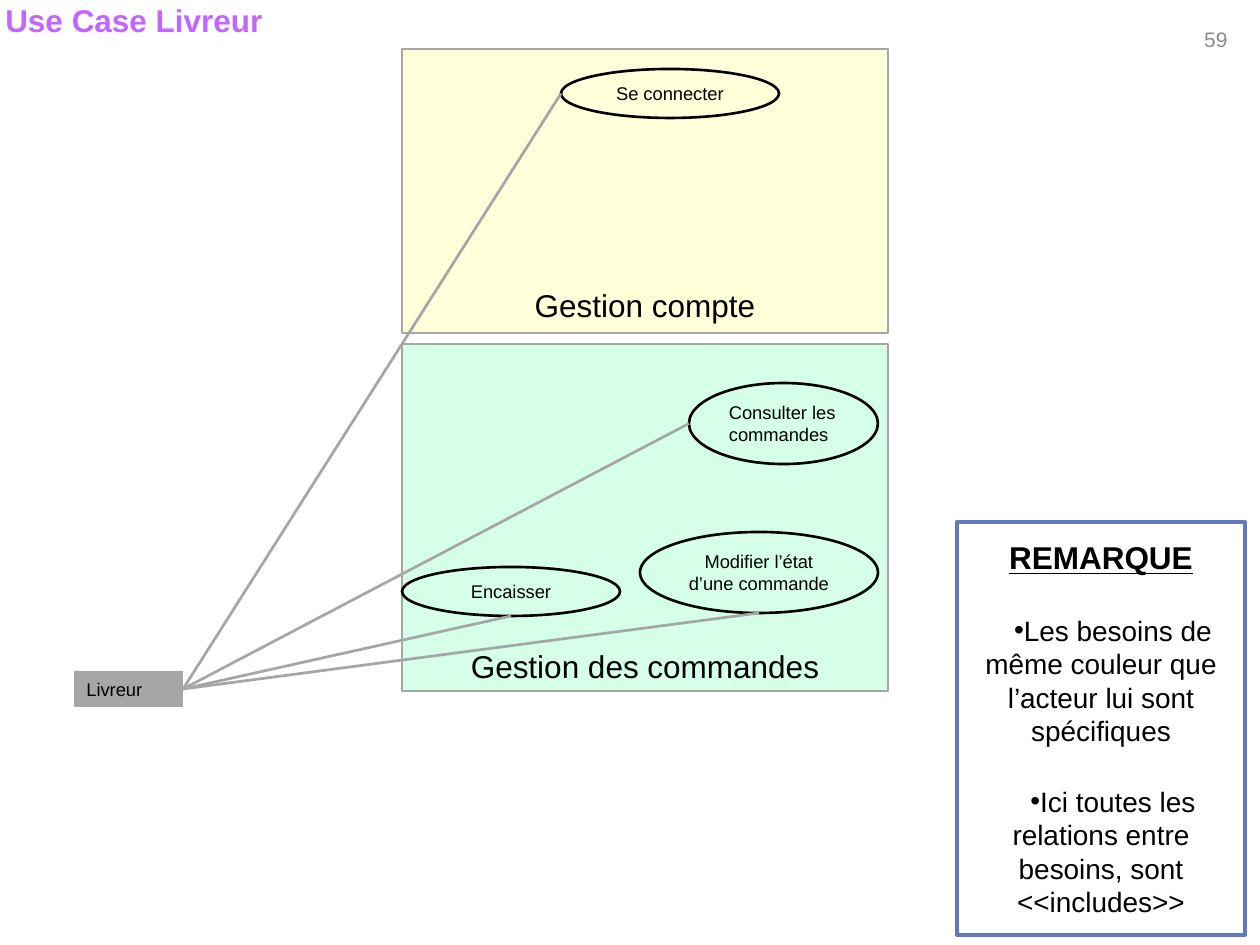
from pptx import Presentation
from pptx.dml.color import RGBColor
from pptx.enum.shapes import MSO_CONNECTOR, MSO_SHAPE
from pptx.enum.text import MSO_ANCHOR, PP_ALIGN
from pptx.util import Pt
from lxml.etree import SubElement
from pptx.oxml.ns import qn

PX = 914400 / 126
BLACK, GREY = "000000", "A6A6A6"
tint = RGBColor.from_string

deck = Presentation()
deck.slide_width, deck.slide_height = round(1260 * PX), round(945 * PX)
slide = deck.slides.add_slide(deck.slide_layouts[6])


def draw(kind, box, fill=None, line=None, width=1):
    shape = slide.shapes.add_shape(kind, *[round(v * PX) for v in box])
    shape.shadow.inherit = False
    if fill:
        shape.fill.solid()
        shape.fill.fore_color.rgb = tint(fill)
    else:
        shape.fill.background()
    if line:
        shape.line.color.rgb = tint(line)
        shape.line.width = Pt(width)
    else:
        shape.line.fill.background()
    return shape


def write(shape, text, size=10.5, color=BLACK, bold=False, under=False,
          align=PP_ALIGN.CENTER, anchor=MSO_ANCHOR.MIDDLE,
          more=False, bullet=False, gap=0):
    frame = shape.text_frame
    frame.word_wrap = True
    frame.vertical_anchor = anchor
    para = frame.add_paragraph() if more else frame.paragraphs[0]
    para.alignment = align
    if gap:
        para.space_before = Pt(gap)
    if bullet:
        props = para._p.get_or_add_pPr()
        props.set("marL", "0")
        props.set("indent", str(round(24 * PX)))
        SubElement(props, qn("a:buFont"), typeface="Arial")
        SubElement(props, qn("a:buChar"), char="•")
    run = para.add_run()
    run.text = text
    font = run.font
    font.name, font.size = "Arial", Pt(size)
    font.bold, font.underline = bold, under
    font.color.rgb = tint(color)


# Page number
page = draw(MSO_SHAPE.ROUNDED_RECTANGLE, (1172, 0, 88, 78))
write(page, "59", size=12, color="8C8C8C")

# Packages
for name, top, high, fill, foot in [
    ("Gestion compte", 49, 284, "FFFFD9", 9),
    ("Gestion des commandes", 344, 347, "D5FFE8", 6),
]:
    pack = draw(MSO_SHAPE.RECTANGLE, (402, top, 486, high), fill, GREY)
    pack.text_frame.margin_bottom = round(foot * PX)
    write(pack, name, size=18, anchor=MSO_ANCHOR.BOTTOM)

# Actor
actor = draw(MSO_SHAPE.RECTANGLE, (74, 671, 109, 36), GREY)
write(actor, "Livreur", align=PP_ALIGN.LEFT)

# Use cases, each with the side its link meets
links = []
for name, box, side, align in [
    ("Se connecter", (561, 69, 218, 49), "left", PP_ALIGN.CENTER),
    ("Consulter les commandes", (689, 383, 189, 81), "left", PP_ALIGN.LEFT),
    ("Modifier l’état d’une commande", (640, 532, 238, 81), "bottom",
     PP_ALIGN.CENTER),
    ("Encaisser", (402, 567, 218, 49), "bottom", PP_ALIGN.CENTER),
]:
    case = draw(MSO_SHAPE.OVAL, box, line=BLACK, width=1.5)
    write(case, name, align=align)
    left, top, wide, high = box
    if side == "left":
        links.append((left, top + high / 2))
    else:
        links.append((left + wide / 2, top + high))

# Links from the actor
for x, y in links:
    ends = [round(v * PX) for v in (183, 689, x, y)]
    link = slide.shapes.add_connector(MSO_CONNECTOR.STRAIGHT, *ends)
    link.begin_connect(actor, 3)
    link.line.color.rgb = tint(GREY)
    link.line.width = Pt(1.57)
    SubElement(link._element.spPr, qn("a:effectLst"))

# Remark
note = draw(MSO_SHAPE.RECTANGLE, (957, 522, 288, 413), line="6279BD", width=2.36)
write(note, "REMARQUE", size=18, bold=True, under=True)
for text in [
    "Les besoins de même couleur que l’acteur lui sont spécifiques",
    "Ici toutes les relations entre besoins, sont <<includes>>",
]:
    write(note, text, size=16, more=True, bullet=True, gap=21)

# Title
title = slide.shapes.add_textbox(*[round(v * PX) for v in (-144, -5, 556, 50)])
write(title, "Use Case Livreur", size=18, color="C266FF", bold=True,
      anchor=MSO_ANCHOR.TOP)

deck.save("out.pptx")
